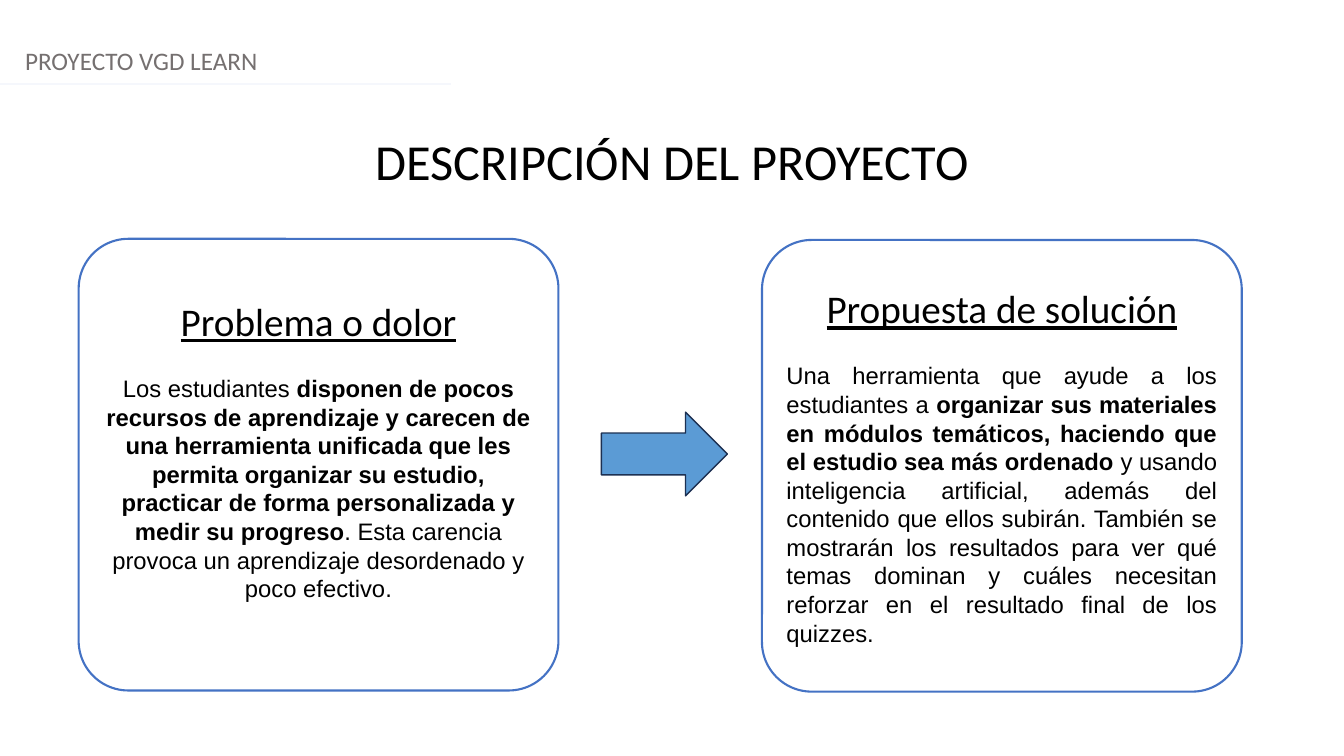
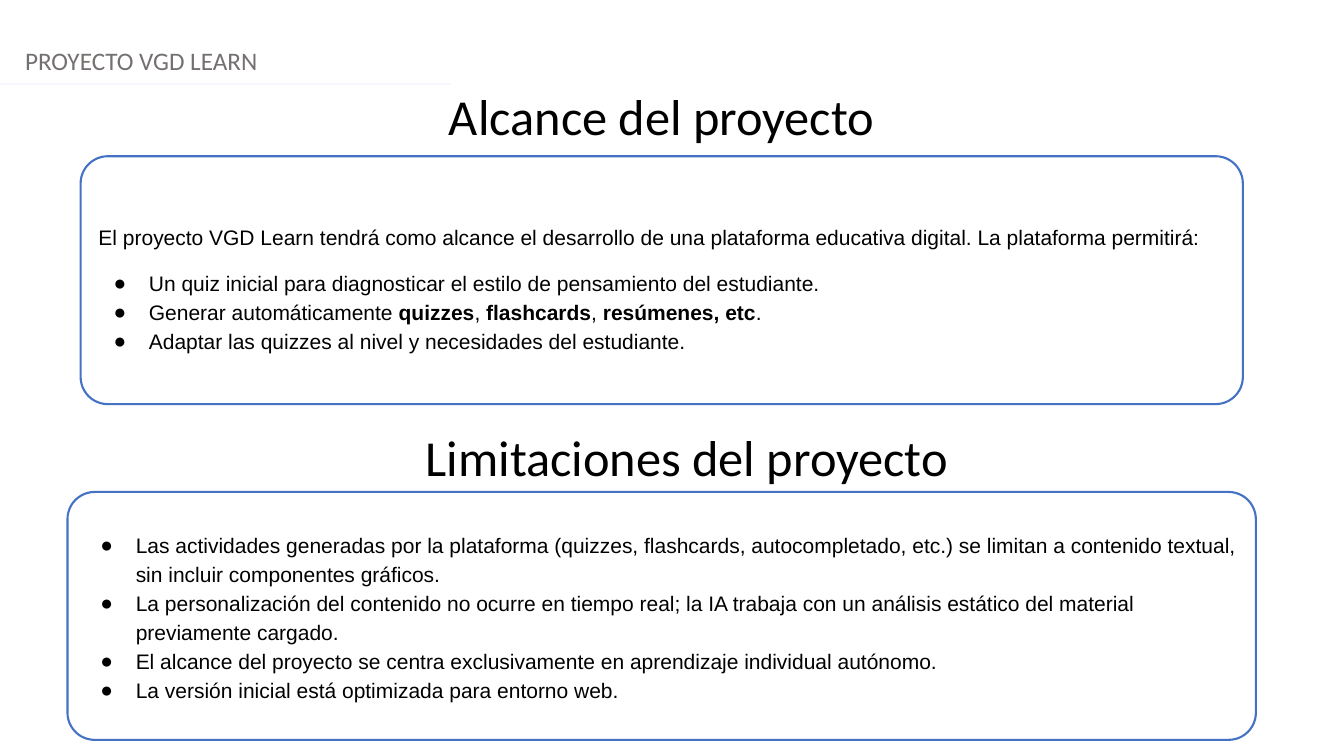
from lxml import etree
from pptx import Presentation
from pptx.dml.color import RGBColor
from pptx.enum.shapes import MSO_CONNECTOR, MSO_SHAPE
from pptx.enum.text import MSO_ANCHOR, PP_ALIGN
from pptx.oxml.ns import qn
from pptx.util import Pt

ROUNDED = MSO_SHAPE.ROUNDED_RECTANGLE
RIGHT_ARROW = MSO_SHAPE.RIGHT_ARROW
STRAIGHT = MSO_CONNECTOR.STRAIGHT
MIDDLE = MSO_ANCHOR.MIDDLE
LEFT, CENTER, JUSTIFY = PP_ALIGN.LEFT, PP_ALIGN.CENTER, PP_ALIGN.JUSTIFY

COLORS = {
    "ink": "000000",
    "header": "757070",
    "rule": "F5F7FC",
    "paper": "FFFFFF",
    "border": "4472C4",
    "arrow": "5B9BD5",
    "arrow_edge": "1C3052",
}
HEADING_FONT, BODY_FONT = "Calibri", "Arial"
SLIDE_W, SLIDE_H = 960, 540
INSET_X, INSET_Y = 7.2, 3.6
BULLET_LEFT, BULLET_HANG = 36, 25.2

HEADER = "PROYECTO VGD LEARN"
PROBLEM = (
    "Los estudiantes **disponen de pocos recursos de aprendizaje y carecen de una "
    "herramienta unificada que les permita organizar su estudio, practicar de forma "
    "personalizada y medir su progreso**. Esta carencia provoca un aprendizaje "
    "desordenado y poco efectivo."
)
SOLUTION = (
    "Una herramienta que ayude a los estudiantes a **organizar sus materiales en módulos "
    "temáticos, haciendo que el estudio sea más ordenado** y usando inteligencia "
    "artificial, además del contenido que ellos subirán. También se mostrarán los "
    "resultados para ver qué temas dominan y cuáles necesitan reforzar en el resultado "
    "final de los quizzes."
)
SCOPE_INTRO = (
    "El proyecto VGD Learn tendrá como alcance el desarrollo de una plataforma educativa "
    "digital. La plataforma permitirá:"
)
SCOPE = [
    "Un quiz inicial para diagnosticar el estilo de pensamiento del estudiante.",
    "Generar automáticamente **quizzes**, **flashcards**, **resúmenes, etc**.",
    "Adaptar las quizzes al nivel y necesidades del estudiante.",
]
LIMITS = [
    "Las actividades generadas por la plataforma (quizzes, flashcards, autocompletado, "
    "etc.) se limitan a contenido textual, sin incluir componentes gráficos.",
    "La personalización del contenido no ocurre en tiempo real; la IA trabaja con un "
    "análisis estático del material previamente cargado.",
    "El alcance del proyecto se centra exclusivamente en aprendizaje individual autónomo.",
    "La versión inicial está optimizada para entorno web.",
]


def rgb(name):
    """Return the named palette colour."""
    return RGBColor.from_string(COLORS[name])


def points(box):
    """Turn a box of numbers into lengths."""
    return [Pt(length) for length in box]


def write(paragraph, text, size, font=BODY_FONT, color="ink", align=LEFT, underline=False):
    """Fill a paragraph, with the parts between double asterisks in bold."""
    paragraph.alignment = align
    for index, part in enumerate(text.split("**")):
        run = paragraph.add_run()
        run.text = part
        run.font.size = Pt(size)
        run.font.name = font
        run.font.bold = index % 2 == 1
        run.font.underline = underline
        run.font.color.rgb = rgb(color)


def set_insets(frame, top=INSET_Y, bottom=INSET_Y):
    """Wrap the text and set its margins."""
    frame.word_wrap = True
    frame.margin_left = frame.margin_right = Pt(INSET_X)
    frame.margin_top, frame.margin_bottom = Pt(top), Pt(bottom)


def add_label(slide, box, text, size=36, color="ink", align=CENTER):
    """Place a one-line heading in the box."""
    frame = slide.shapes.add_textbox(*points(box)).text_frame
    set_insets(frame)
    write(frame.paragraphs[0], text, size, HEADING_FONT, color, align)


def add_filled(slide, preset, box, fill, edge, width):
    """Place a preset shape with a flat fill and an outline."""
    shape = slide.shapes.add_shape(preset, *points(box))
    shape.shadow.inherit = False
    shape.fill.solid()
    shape.fill.fore_color.rgb = rgb(fill)
    shape.line.color.rgb = rgb(edge)
    shape.line.width = Pt(width)
    return shape


def add_panel(slide, box, top=INSET_Y, bottom=INSET_Y):
    """Place a rounded panel and return its text frame."""
    panel = add_filled(slide, ROUNDED, box, "paper", "border", 1.5)
    panel.adjustments[0] = 0.11
    frame = panel.text_frame
    set_insets(frame, top, bottom)
    frame.vertical_anchor = MIDDLE
    return frame


def add_card(slide, box, heading, body, align, bottom=INSET_Y):
    """Place a panel with an underlined heading and a body paragraph."""
    frame = add_panel(slide, box, bottom=bottom)
    title = frame.paragraphs[0]
    write(title, heading, 28, HEADING_FONT, align=CENTER, underline=True)
    title.space_after = Pt(21)
    write(frame.add_paragraph(), body, 17, align=align)


def make_bullet(paragraph):
    """Give a paragraph a round bullet and a hanging indent."""
    properties = paragraph._p.get_or_add_pPr()
    properties.set("marL", str(Pt(BULLET_LEFT)))
    properties.set("indent", str(-Pt(BULLET_HANG)))
    bullet_color = etree.SubElement(properties, qn("a:buClr"))
    etree.SubElement(bullet_color, qn("a:srgbClr"), val=COLORS["ink"])
    etree.SubElement(properties, qn("a:buFont"), typeface=BODY_FONT)
    etree.SubElement(properties, qn("a:buChar"), char="●")


def add_list_panel(slide, box, items, intro=None, top=INSET_Y, bottom=INSET_Y):
    """Place a panel with bulleted items under an optional introduction."""
    frame = add_panel(slide, box, top, bottom)
    lines = [intro, *items] if intro else items
    for index, line in enumerate(lines):
        paragraph = frame.add_paragraph() if index else frame.paragraphs[0]
        write(paragraph, line, 15)
        paragraph.line_spacing = 1.15
        if intro and index == 0:
            paragraph.space_after = Pt(12)
        else:
            make_bullet(paragraph)


def add_header(slide):
    """Place the project name and the rule below it."""
    add_label(slide, (10.8, 28.8, 320, 28.8), HEADER, 18, "header", LEFT)
    rule = slide.shapes.add_connector(STRAIGHT, *points((0, 59.8, 321.8, 59.8)))
    rule.line.color.rgb = rgb("rule")
    rule.line.width = Pt(1.25)
    etree.SubElement(rule._element.spPr, qn("a:effectLst"))


def new_slide(deck):
    """Add a blank slide with the shared header."""
    slide = deck.slides.add_slide(deck.slide_layouts[6])
    add_header(slide)
    return slide


def build_description(deck):
    """Build the slide that leads from the problem to the solution."""
    slide = new_slide(deck)
    add_label(slide, (0, 89.3, SLIDE_W, 51), "DESCRIPCIÓN DEL PROYECTO")
    card_w, card_h = 342.7, 322.6
    add_card(slide, (56.2, 170.6, card_w, card_h), "Problema o dolor", PROBLEM,
             CENTER, bottom=INSET_Y + 21)
    add_card(slide, (544.3, 171.4, card_w, card_h), "Propuesta de solución", SOLUTION,
             JUSTIFY)
    add_filled(slide, RIGHT_ARROW, (429.6, 294.4, 90, 59.8), "arrow", "arrow_edge", 1)


def build_scope(deck):
    """Build the slide with the scope and the limits of the project."""
    slide = new_slide(deck)
    title_w, title_h, panel_h = 679, 51, 177.1
    add_label(slide, (133.2, 56.9, title_w, title_h), "Alcance del proyecto")
    add_list_panel(slide, (57.6, 111.6, 830.2, panel_h), SCOPE, SCOPE_INTRO,
                   top=36, bottom=26)
    add_label(slide, (151.2, 301, title_w, title_h), "Limitaciones del proyecto")
    add_list_panel(slide, (48.2, 351.4, 848.9, panel_h), LIMITS)


def main():
    """Build and save the presentation."""
    deck = Presentation()
    deck.slide_width, deck.slide_height = Pt(SLIDE_W), Pt(SLIDE_H)
    build_description(deck)
    build_scope(deck)
    deck.save("out.pptx")


if __name__ == "__main__":
    main()
